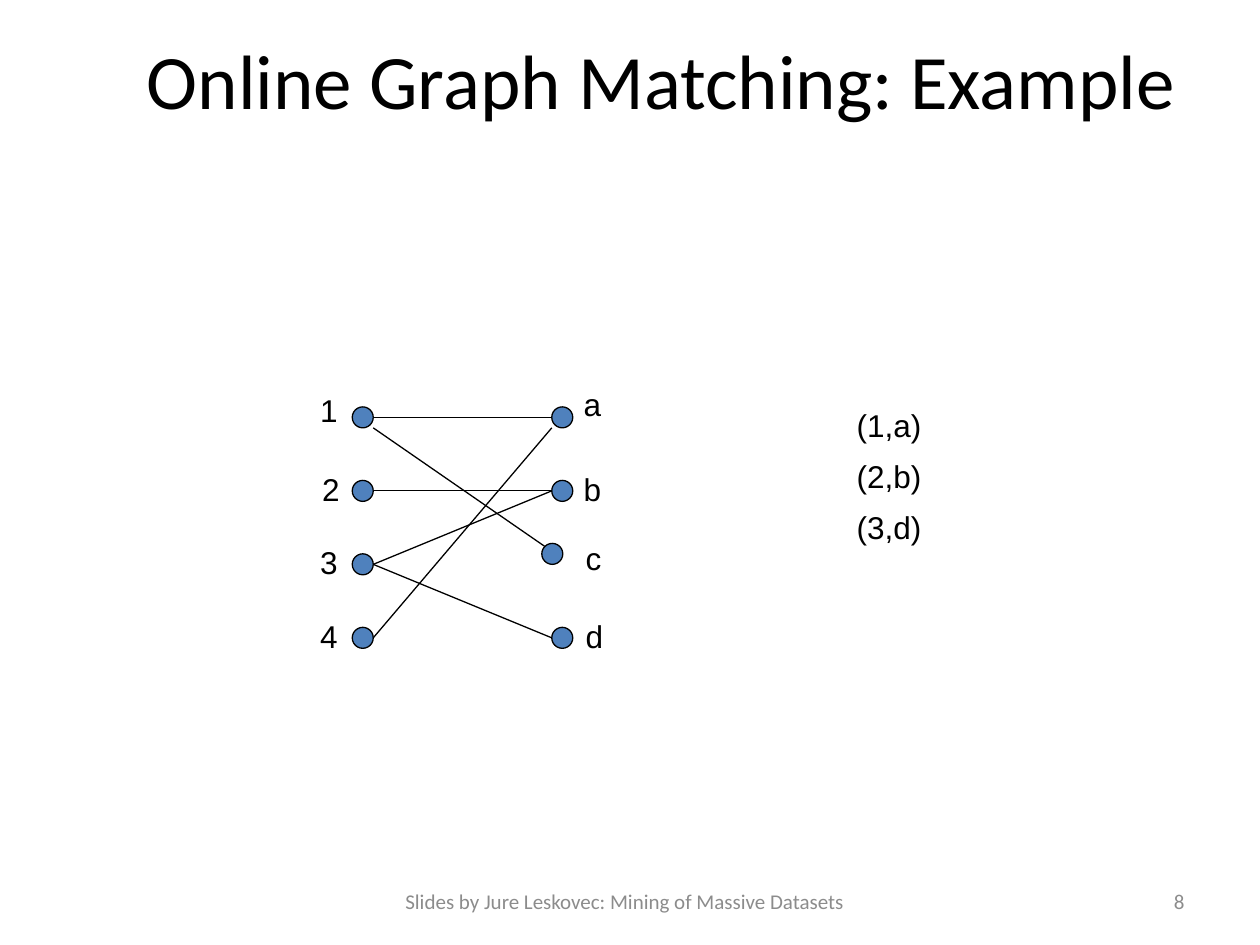
from pptx import Presentation
from pptx.dml.color import RGBColor
from pptx.enum.shapes import MSO_CONNECTOR, MSO_SHAPE
from pptx.enum.text import MSO_ANCHOR, MSO_AUTO_SIZE, PP_ALIGN
from pptx.oxml.ns import qn
from pptx.util import Inches, Pt

BLACK = RGBColor(0x00, 0x00, 0x00)
GRAY = RGBColor(0x8C, 0x8C, 0x8C)
BLUE = RGBColor(0x4F, 0x81, 0xBD)
LEFT, CENTER, RIGHT = PP_ALIGN.LEFT, PP_ALIGN.CENTER, PP_ALIGN.RIGHT
MIDDLE, TOP = MSO_ANCHOR.MIDDLE, MSO_ANCHOR.TOP
OVAL, STRAIGHT = MSO_SHAPE.OVAL, MSO_CONNECTOR.STRAIGHT
FIT_SHAPE = MSO_AUTO_SIZE.SHAPE_TO_FIT_TEXT

COLUMNS, ROWS = 120, 90  # grid cells of 1/12 inch
RADIUS = 1
LABEL_HEIGHT = 4.8


class Board:
    """Draws on one slide, with lengths in grid columns and rows."""

    def __init__(self, deck):
        self.slide = deck.slides.add_slide(deck.slide_layouts[5])
        self.shapes = self.slide.shapes
        self.column = deck.slide_width / COLUMNS
        self.row = deck.slide_height / ROWS

    def place(self, *lengths):
        units = (self.column, self.row) * 2
        return [round(length * unit) for length, unit in zip(lengths, units)]

    def set_text(self, box, text, font, size, color, align, anchor):
        frame = box.text_frame
        frame.text = text
        frame.vertical_anchor = anchor
        para = frame.paragraphs[0]
        para.alignment = align
        para.font.name = font
        para.font.size = Pt(size)
        para.font.color.rgb = color
        return frame

    def title(self, text, *area):
        box = self.shapes.title
        box.left, box.top, box.width, box.height = self.place(*area)
        self.set_text(box, text, "Calibri", 44, BLACK, CENTER, MIDDLE)

    def footer(self, text, align, *area):
        box = self.shapes.add_textbox(*self.place(*area))
        frame = self.set_text(box, text, "Calibri", 12, GRAY, align, MIDDLE)
        frame.word_wrap = True

    def label(self, text, left, top, width=4.1):
        box = self.shapes.add_textbox(*self.place(left, top, width, LABEL_HEIGHT))
        frame = self.set_text(box, text, "Arial", 18, BLACK, LEFT, TOP)
        frame.word_wrap = False
        frame.auto_size = FIT_SHAPE

    def node(self, x, y):
        area = self.place(x - RADIUS, y - RADIUS, 2 * RADIUS, 2 * RADIUS)
        dot = self.shapes.add_shape(OVAL, *area)
        dot.shadow.inherit = False
        dot.fill.solid()
        dot.fill.fore_color.rgb = BLUE
        dot.line.color.rgb = BLACK
        dot.line.width = Pt(0.75)

    def edge(self, start, end):
        line = self.shapes.add_connector(STRAIGHT, *self.place(*start, *end))
        line.line.color.rgb = BLACK
        line.line.width = Pt(0.75)
        properties = line._element.spPr
        properties.append(properties.makeelement(qn("a:effectLst"), {}))


def main():
    deck = Presentation()
    deck.slide_width, deck.slide_height = Inches(10), Inches(7.5)
    board = Board(deck)

    board.title("Online Graph Matching: Example", 6, 2, 114, 11)

    # Nodes: centres on two columns, with c set slightly off the grid
    left_x, right_x = 34.55, 53.55
    levels = [39.75 + 7 * step for step in range(4)]
    nodes = {name: (left_x, y) for name, y in zip("1234", levels)}
    nodes.update((name, (right_x, y)) for name, y in zip("abcd", levels))
    nodes["c"] = (52.6, 52.75)
    for x, y in nodes.values():
        board.node(x, y)

    # Node labels: left and top
    labels = {
        "1": (29.3, 36.7), "2": (29.5, 44.15), "3": (29.3, 51.1), "4": (29.3, 58.2),
        "a": (54.4, 36.1), "b": (54.4, 44.15), "c": (54.6, 50.75), "d": (54.6, 58.2),
    }
    for name, (left, top) in labels.items():
        board.label(name, left, top)

    # Edges: both nodes, with the offset of each line end from its node's centre
    out, into = (RADIUS, 0), (-RADIUS, 0)
    edges = [
        ("1", out, "a", into),
        ("4", out, "a", (-RADIUS, RADIUS)),
        ("2", out, "b", into),
        ("3", out, "b", into),
        ("1", (RADIUS, RADIUS), "c", (-0.7, -0.7)),
        ("3", out, "d", into),
    ]
    for first, first_offset, second, second_offset in edges:
        ends = ((first, first_offset), (second, second_offset))
        board.edge(*[(nodes[name][0] + dx, nodes[name][1] + dy)
                     for name, (dx, dy) in ends])

    # Matched pairs
    for index, pair in enumerate(["(1,a)", "(2,b)", "(3,d)"]):
        board.label(pair, 80.4, 38.1 + 4.87 * index, 8.65)

    # Footer and page number
    board.footer("Slides by Jure Leskovec: Mining of Massive Datasets",
                 CENTER, 34, 83.4, 51, 4.8)
    board.footer("8", RIGHT, 86, 83.4, 28, 4.8)

    deck.save("out.pptx")


if __name__ == "__main__":
    main()
